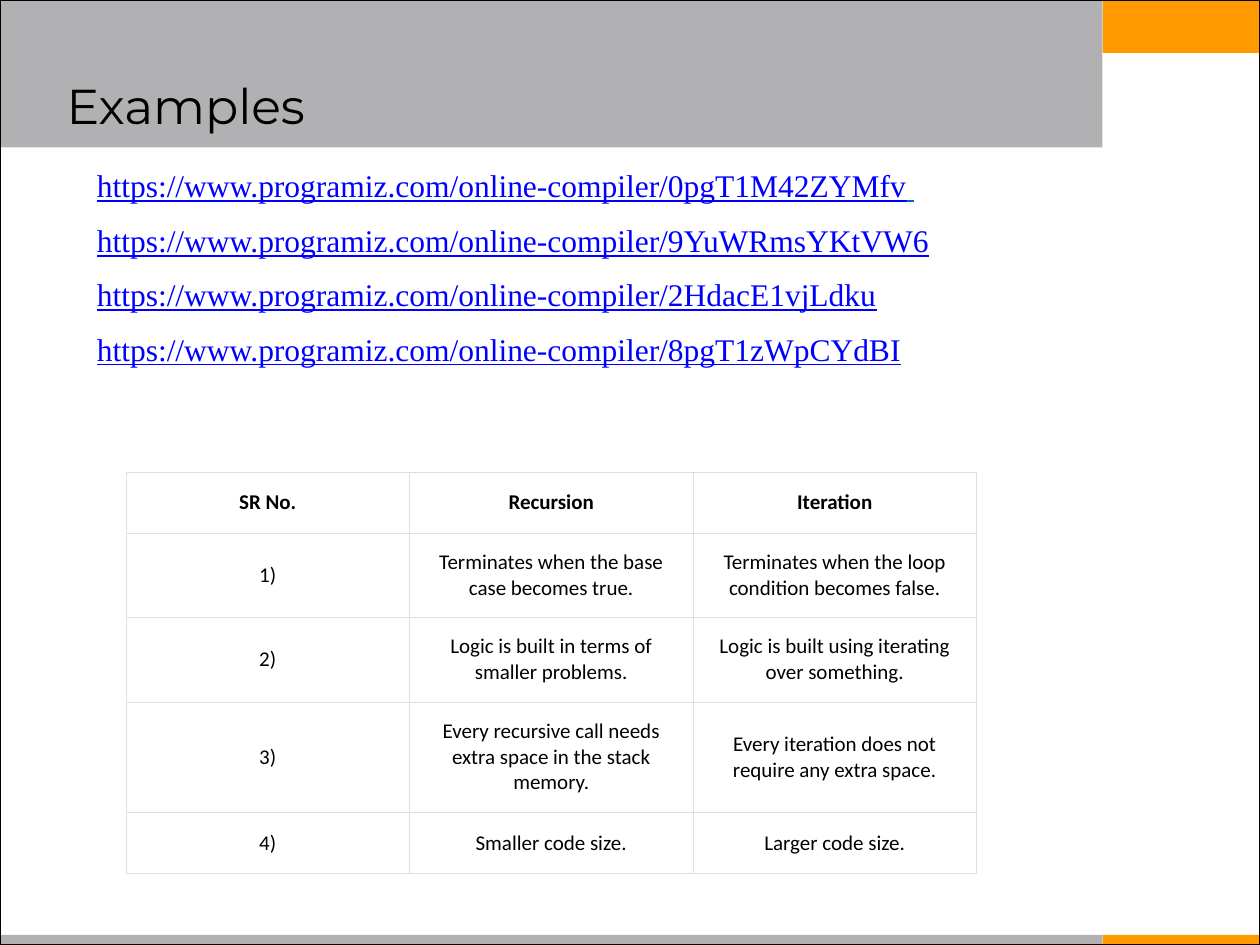
from pptx import Presentation
from pptx.dml.color import RGBColor
from pptx.enum.shapes import MSO_SHAPE
from pptx.enum.text import MSO_ANCHOR, PP_ALIGN
from pptx.oxml import parse_xml
from pptx.oxml.ns import nsdecls
from pptx.util import Inches, Pt

COLORS = {"orange": "FF9900", "gray": "B1B1B4", "black": "000000", "white": "FFFFFF",
          "grid": "DFDFDF", "link": "0000FF", "link_end": "0563C1"}


def style(run, font, size, color, bold=False, underline=False):
    run.font.name = font
    run.font.size = Pt(size)
    run.font.color.rgb = RGBColor.from_string(COLORS[color])
    run.font.bold = bold
    run.font.underline = underline


def add_cell_borders(cell):
    """Draw a hairline on all four sides; must come before the cell's fill."""
    for side in ("lnL", "lnR", "lnT", "lnB"):
        cell._tc.get_or_add_tcPr().append(parse_xml(
            f'<a:{side} {nsdecls("a")} w="2920"><a:solidFill>'
            f'<a:srgbClr val="{COLORS["grid"]}"/></a:solidFill></a:{side}>'))


prs = Presentation()
prs.slide_width, prs.slide_height = Inches(10), Inches(7.5)
slide = prs.slides.add_slide(prs.slide_layouts[6])

# Header and footer bands
for left, top, width, height, color in [
    (8.75, 0, 1.25, 0.42, "orange"),
    (0, 0, 8.75, 1.17, "gray"),
    (0, 7.42, 8.75, 0.08, "gray"),
    (8.75, 7.42, 1.25, 0.08, "orange"),
]:
    band = slide.shapes.add_shape(MSO_SHAPE.RECTANGLE, Inches(left), Inches(top),
                                  Inches(width), Inches(height))
    band.shadow.inherit = False
    band.fill.solid()
    band.fill.fore_color.rgb = RGBColor.from_string(COLORS[color])
    band.line.fill.background()

frame = slide.shapes.add_shape(MSO_SHAPE.RECTANGLE, 0, 0, prs.slide_width, prs.slide_height)
frame.shadow.inherit = False
frame.fill.background()
frame.line.color.rgb = RGBColor.from_string(COLORS["black"])
frame.line.width = Pt(0.75)

title = slide.shapes.add_textbox(Inches(0.53), Inches(0.6), Inches(8.94), Inches(0.47)).text_frame
title.word_wrap = True
title.margin_left = title.margin_right = title.margin_top = title.margin_bottom = 0
title.text = "Examples"
style(title.paragraphs[0].runs[0], "Montserrat", 28, "black")

# Comparison table
rows = [
    ("SR No.", "Recursion", "Iteration"),
    ("1)", "Terminates when the base case becomes true.",
     "Terminates when the loop condition becomes false."),
    ("2)", "Logic is built in terms of smaller problems.",
     "Logic is built using iterating over something."),
    ("3)", "Every recursive call needs extra space in the stack memory.",
     "Every iteration does not require any extra space."),
    ("4)", "Smaller code size.", "Larger code size."),
]
row_heights = [0.48, 0.67, 0.67, 0.88, 0.48]
graphic = slide.shapes.add_table(len(rows), 3, Inches(1), Inches(3.75),
                                 Inches(6.75), Inches(sum(row_heights)))
comparison = graphic.table
comparison.first_row = comparison.horz_banding = False
for column in comparison.columns:
    column.width = Inches(2.25)
for r, (texts, height) in enumerate(zip(rows, row_heights)):
    comparison.rows[r].height = Inches(height)
    for c, text in enumerate(texts):
        cell = comparison.cell(r, c)
        add_cell_borders(cell)
        cell.fill.solid()
        cell.fill.fore_color.rgb = RGBColor.from_string(COLORS["white"])
        cell.vertical_anchor = MSO_ANCHOR.MIDDLE
        cell.margin_left = cell.margin_right = Inches(0.1)
        cell.margin_top = cell.margin_bottom = Inches(0.13)
        cell.text = text
        paragraph = cell.text_frame.paragraphs[0]
        paragraph.alignment = PP_ALIGN.CENTER
        style(paragraph.runs[0], "Calibri", 12, "black", bold=r == 0)

# Compiler links
links = slide.shapes.add_textbox(Inches(0.67), Inches(1.25), Inches(8.81), Inches(1.72)).text_frame
links.word_wrap = True
snippets = ["0pgT1M42ZYMfv", "9YuWRmsYKtVW6", "2HdacE1vjLdku", "8pgT1zWpCYdBI"]
links.text = "\n".join(f"https://www.programiz.com/online-compiler/{s}" for s in snippets)
for paragraph in links.paragraphs:
    paragraph.line_spacing = 1.07
    paragraph.space_after = Pt(8)
    style(paragraph.runs[0], "Times New Roman", 18, "link", underline=True)
link_end = links.paragraphs[0].add_run()
link_end.text = " "
style(link_end, "Times New Roman", 18, "link_end", underline=True)

prs.save("out.pptx")
